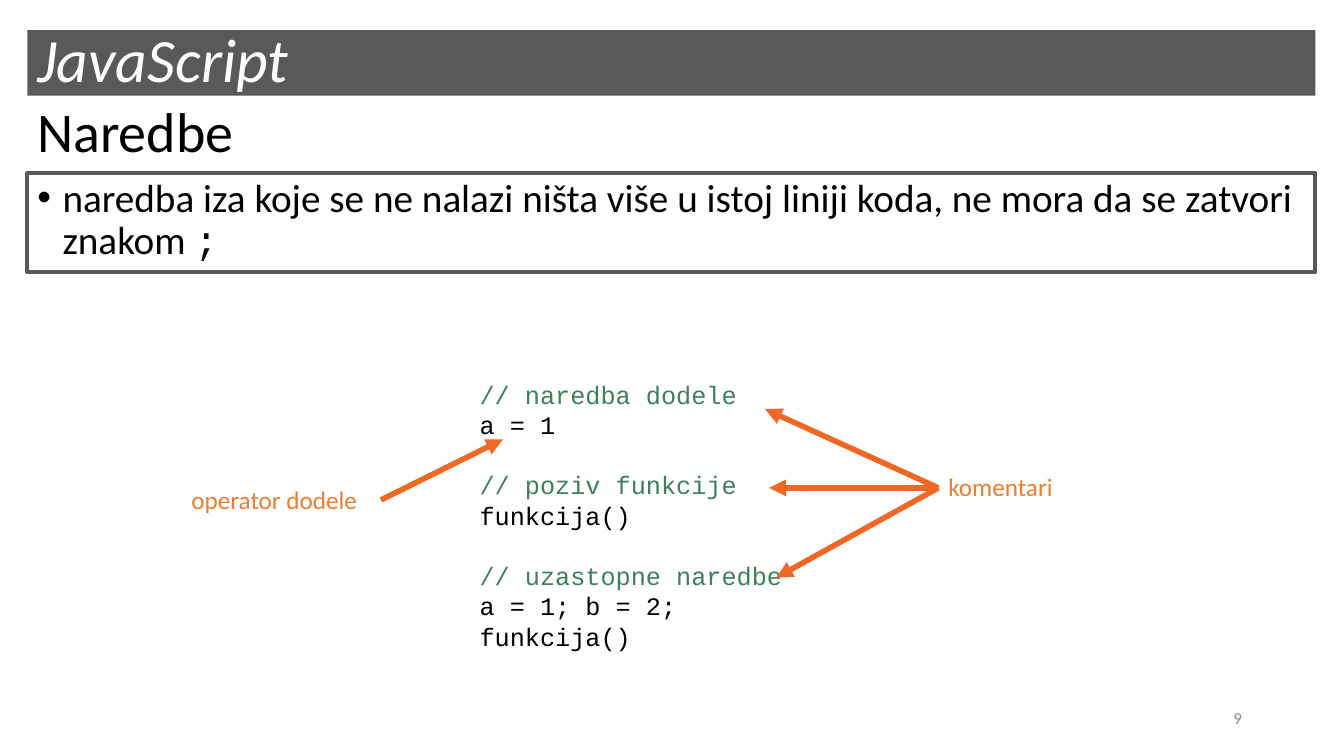
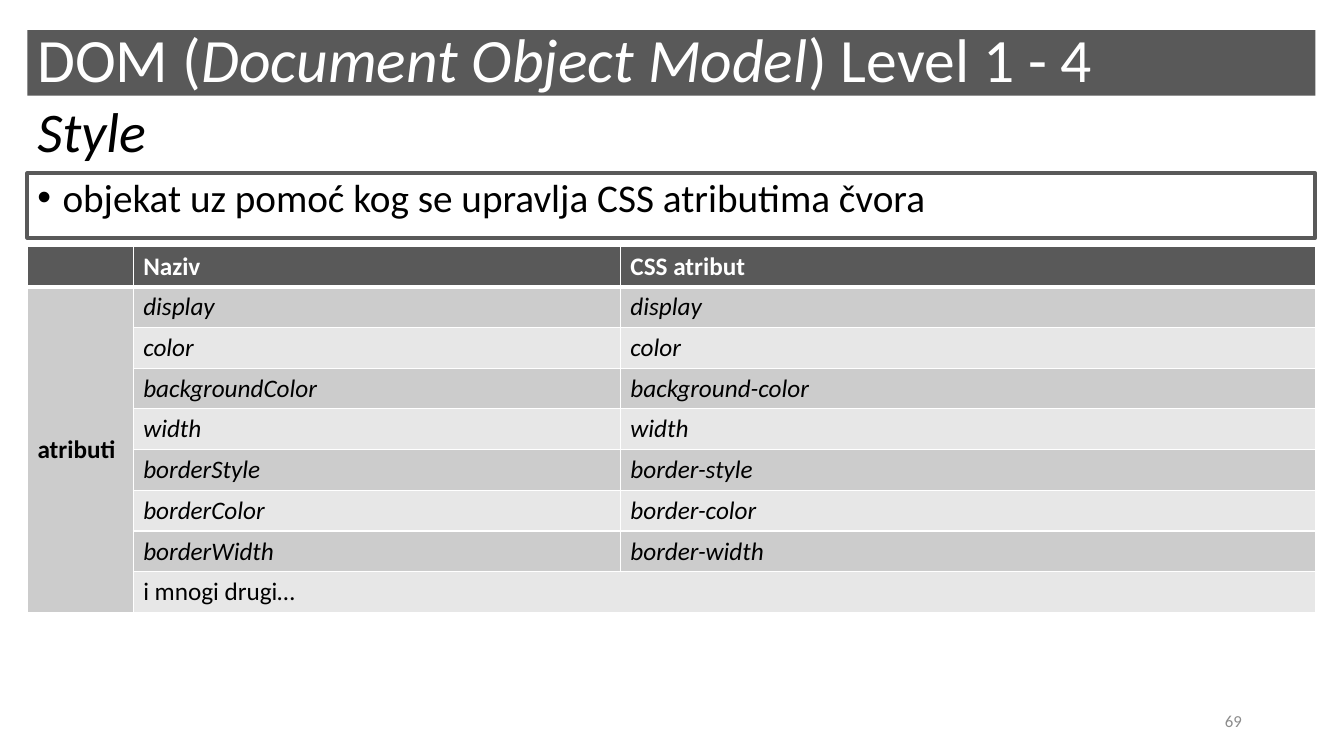
from lxml.etree import SubElement
from pptx import Presentation
from pptx.dml.color import RGBColor
from pptx.enum.shapes import MSO_CONNECTOR, MSO_SHAPE
from pptx.enum.text import MSO_ANCHOR as ANCHOR, PP_ALIGN as ALIGN
from pptx.oxml import parse_xml
from pptx.oxml.ns import nsdecls, qn
from pptx.util import Pt

WHITE, BLACK, GRAY, MUTED = "FFFFFF", "000000", "595959", "8C8C8C"
ORANGE, ARROW, GREEN = "ED7D31", "F16726", "3F7F5F"
DARK_ROW, LIGHT_ROW = "CCCCCC", "E7E7E7"
SANS, MONO = "Calibri", "Courier New"
LEFT, WIDTH = 19.6, 920
ITALIC = {"italic": True}

TITLE = {"size": 44, "color": WHITE}
SUBTITLE = {"size": 40, "color": BLACK}
BODY = {"size": 28, "color": BLACK}
LABEL = {"size": 18, "color": ORANGE}
NUMBER = {"size": 12, "color": MUTED}
CELL = {"size": 18, "color": BLACK}
CODE = {"size": 18, "name": MONO}
CODE_LINE = 21.6

CODE_BLOCKS = [
    ("// naredba dodele", "a = 1"),
    ("// poziv funkcije", "funkcija()"),
    ("// uzastopne naredbe", "a = 1; b = 2; funkcija()"),
]
ATTRIBUTES = [
    ("display", "display"),
    ("color", "color"),
    ("backgroundColor", "background-color"),
    ("width", "width"),
    ("borderStyle", "border-style"),
    ("borderColor", "border-color"),
    ("borderWidth", "border-width"),
]


def rgb(color):
    return RGBColor.from_string(color)


def set_fill(target, color):
    target.fill.solid()
    target.fill.fore_color.rgb = rgb(color)


def add_runs(p, runs, style):
    """Add (text, overrides) runs that share a base style."""
    for text, overrides in runs:
        r = p.add_run()
        r.text = text
        for key, value in ({"name": SANS} | style | overrides).items():
            if key == "color":
                r.font.color.rgb = rgb(value)
            else:
                setattr(r.font, key, Pt(value) if key == "size" else value)


def add_text(slide, box, runs, style, anchor=ANCHOR.TOP, align=ALIGN.LEFT, wrap=True):
    sp = slide.shapes.add_textbox(*map(Pt, box))
    tf = sp.text_frame
    tf.word_wrap = wrap
    tf.vertical_anchor = anchor
    p = tf.paragraphs[0]
    p.alignment = align
    add_runs(p, runs, style)
    return sp


def add_heading(slide, top, height, runs, style):
    sp = add_text(slide, (LEFT, top, WIDTH, height), runs, style, ANCHOR.MIDDLE)
    sp.text_frame.paragraphs[0].line_spacing = 0.9
    return sp


def add_frame(slide, title, subtitle, number, number_top):
    """Add the title band, subtitle and slide number."""
    set_fill(add_heading(slide, 21.6, 46.8, title, TITLE), GRAY)
    add_heading(slide, 75.6, 41, subtitle, SUBTITLE)
    add_text(slide, (678.2, number_top, 216, 28.8), [(number, {})], NUMBER,
             ANCHOR.MIDDLE, ALIGN.RIGHT)


def add_bullet_box(slide, height, runs):
    sp = slide.shapes.add_shape(MSO_SHAPE.RECTANGLE, Pt(LEFT), Pt(123.8), Pt(WIDTH), Pt(height))
    sp.shadow.inherit = False
    sp.fill.background()
    sp.line.color.rgb = rgb(GRAY)
    sp.line.width = Pt(3)
    tf = sp.text_frame
    tf.word_wrap = True
    tf.vertical_anchor = ANCHOR.TOP
    p = tf.paragraphs[0]
    p.alignment = ALIGN.LEFT
    p.line_spacing = 0.9
    pPr = p._p.get_or_add_pPr()
    pPr.set("marL", str(Pt(18)))
    pPr.set("indent", str(-Pt(18)))
    SubElement(pPr, qn("a:buFont"), typeface="Arial")
    SubElement(pPr, qn("a:buChar"), char="•")
    add_runs(p, runs, BODY)


def add_code(slide, box, blocks):
    """Add blocks of a comment and a statement, one line apart."""
    tf = slide.shapes.add_textbox(*map(Pt, box)).text_frame
    tf.word_wrap = True
    for i, block in enumerate(blocks):
        for j, (text, color) in enumerate(zip(block, (GREEN, BLACK))):
            p = tf.add_paragraph() if i or j else tf.paragraphs[0]
            p.line_spacing = Pt(CODE_LINE)
            if i and not j:
                p.space_before = Pt(CODE_LINE)
            add_runs(p, [(text, {"color": color})], CODE)


def add_arrow(slide, start, end):
    c = slide.shapes.add_connector(MSO_CONNECTOR.STRAIGHT, *map(Pt, (*start, *end)))
    c.line.color.rgb = rgb(ARROW)
    c.line.width = Pt(4)
    SubElement(c.line._get_or_add_ln(), qn("a:tailEnd"), type="triangle")
    SubElement(c._element.spPr, qn("a:effectLst"))


def set_borders(cell, top=1, bottom=1):
    tcPr = cell._tc.get_or_add_tcPr()
    for i, (side, width) in enumerate(zip("LRTB", (1, 1, top, bottom))):
        tcPr.insert(i, parse_xml(
            f'<a:ln{side} {nsdecls("a")} w="{Pt(width)}"><a:solidFill>'
            f'<a:srgbClr val="{WHITE}"/></a:solidFill></a:ln{side}>'))


def add_attribute_table(slide, top, row_height, widths):
    bold = {"bold": True}
    header = bold | {"color": WHITE}
    rows = [[("", header), ("Naziv", header), ("CSS atribut", header)]]
    rows += [[("", {}), (name, ITALIC), (css, ITALIC)] for name, css in ATTRIBUTES]
    rows.append([("", {}), ("i mnogi drugi…", {}), ("", {})])
    rows[1][0] = ("atributi", bold)
    last = len(rows) - 1

    table = slide.shapes.add_table(len(rows), len(widths), Pt(LEFT), Pt(top), Pt(sum(widths)),
                                   Pt(row_height * len(rows))).table
    for column, width in zip(table.columns, widths):
        column.width = Pt(width)
    for i, row in enumerate(rows):
        table.rows[i].height = Pt(row_height)
        for j, (text, style) in enumerate(row):
            cell = table.cell(i, j)
            band = DARK_ROW if j == 0 or i % 2 else LIGHT_ROW
            set_fill(cell, band if i else GRAY)
            set_borders(cell, top=3 if i == 1 else 1, bottom=1 if i else 3)
            if text:
                add_runs(cell.text_frame.paragraphs[0], [(text, style)], CELL)
    table.cell(1, 0).merge(table.cell(last, 0))
    table.cell(1, 0).vertical_anchor = ANCHOR.MIDDLE
    table.cell(last, 1).merge(table.cell(last, 2))


def build_statements(slide):
    add_frame(slide, [("JavaScript", ITALIC)], [("Naredbe", {})], "9", 498.2)
    add_bullet_box(slide, 70.6, [
        ("naredba iza koje se ne nalazi ništa više u istoj liniji koda, "
         "ne mora da se zatvori znakom ", {}),
        (";", {"name": MONO}),
    ])
    add_code(slide, (335.5, 267.1, 252.7, 181.4), CODE_BLOCKS)
    add_text(slide, (670.3, 333.4, 90.7, 29), [("komentari", {})], LABEL, wrap=False)
    add_text(slide, (129.6, 342.7, 142, 29), [("operator dodele", {})], LABEL, wrap=False)
    for end in ((546.5, 292.3), (549.4, 348.5), (554.4, 412.6)):
        add_arrow(slide, (670.3, 348.5), end)
    add_arrow(slide, (272.2, 357.1), (359.3, 313.9))


def build_style(slide):
    title = [("DOM (", {}), ("Document Object Model", ITALIC), (") Level 1 - 4", {})]
    add_frame(slide, title, [("Style", ITALIC)], "69", 500.4)
    add_bullet_box(slide, 46.1, [("objekat uz pomoć kog se upravlja CSS atributima čvora", {})])
    add_attribute_table(slide, 175.7, 29.1, (75.6, 348, 496.4))


def main():
    prs = Presentation()
    prs.slide_width, prs.slide_height = Pt(960), Pt(540)
    for build in (build_statements, build_style):
        build(prs.slides.add_slide(prs.slide_layouts[6]))
    prs.save("out.pptx")


if __name__ == "__main__":
    main()
